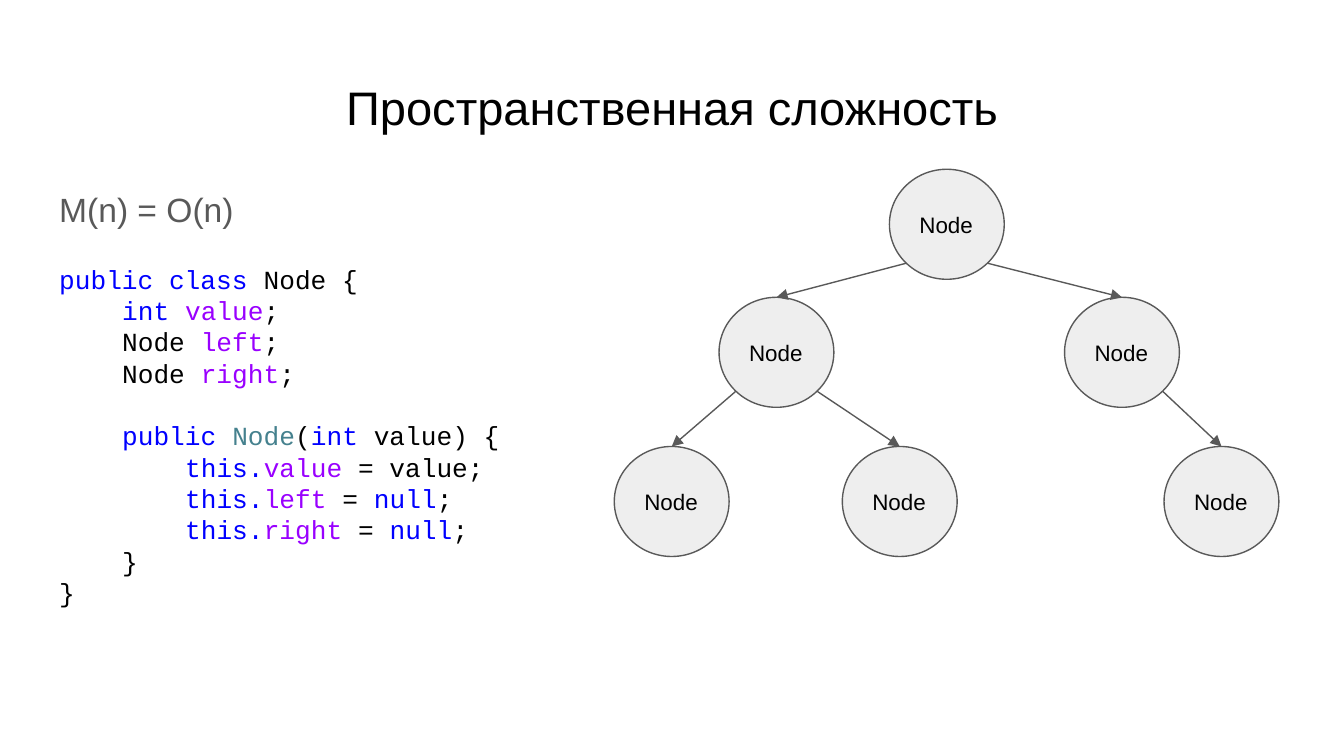
from lxml.etree import SubElement
from pptx import Presentation
from pptx.dml.color import RGBColor
from pptx.enum.shapes import MSO_CONNECTOR, MSO_SHAPE
from pptx.enum.text import MSO_ANCHOR, PP_ALIGN
from pptx.oxml.ns import qn
from pptx.util import Cm, Pt

BLACK = RGBColor(0x00, 0x00, 0x00)
GRAY = RGBColor(0x59, 0x59, 0x59)
NODE_FILL = RGBColor(0xEE, 0xEE, 0xEE)
KEYWORD = RGBColor(0x00, 0x00, 0xFF)
FIELD = RGBColor(0x99, 0x00, 0xFF)
CONSTRUCTOR = RGBColor(0x45, 0x81, 0x8E)

INSET = Cm(0.25)
CODE_INDENT = Cm(1.19)
CODE_LINE = Pt(16.8)
NODE_WIDTH, NODE_HEIGHT = Cm(2.17), Cm(2.08)
DIAGONAL = 0.5 ** 0.5

CODE = [
    (0, [("public class", KEYWORD), (" Node {", BLACK)]),
    (1, [("int ", KEYWORD), ("value", FIELD), (";", BLACK)]),
    (1, [("Node ", BLACK), ("left", FIELD), (";", BLACK)]),
    (1, [("Node ", BLACK), ("right", FIELD), (";", BLACK)]),
    (1, [("public ", KEYWORD), ("Node", CONSTRUCTOR), ("(", BLACK),
         ("int", KEYWORD), (" value) {", BLACK)]),
    (2, [("this.", KEYWORD), ("value", FIELD), (" = value;", BLACK)]),
    (2, [("this.", KEYWORD), ("left", FIELD), (" = ", BLACK),
         ("null", KEYWORD), (";", BLACK)]),
    (2, [("this.", KEYWORD), ("right", FIELD), (" = ", BLACK),
         ("null", KEYWORD), (";", BLACK)]),
    (1, [("}", BLACK)]),
    (0, [("}", BLACK)]),
]
CONSTRUCTOR_LINE = 4

# name: (left, top) inside the tree area
NODES = {
    "root": (Cm(5.2), Cm(0)),
    "left": (Cm(1.98), Cm(2.42)),
    "right": (Cm(8.51), Cm(2.42)),
    "left.left": (Cm(0), Cm(5.24)),
    "left.right": (Cm(4.31), Cm(5.24)),
    "right.right": (Cm(10.39), Cm(5.24)),
}
EDGES = [
    ("root", "left", -1),
    ("root", "right", 1),
    ("left", "left.left", -1),
    ("left", "left.right", 1),
    ("right", "right.right", 1),
]


def set_insets(frame):
    frame.word_wrap = True
    frame.margin_left = frame.margin_right = INSET
    frame.margin_top = frame.margin_bottom = INSET


def style(paragraph, size, color, name="Arial"):
    paragraph.font.size = Pt(size)
    paragraph.font.name = name
    paragraph.font.color.rgb = color


def add_text_frame(slide, left, top, width, height):
    frame = slide.shapes.add_textbox(left, top, width, height).text_frame
    set_insets(frame)
    return frame


def add_title(slide, left, top, width, height):
    title = add_text_frame(slide, left, top, width, height).paragraphs[0]
    title.text = "Пространственная сложность"
    title.alignment = PP_ALIGN.CENTER
    style(title, 25.2, BLACK)


def add_complexity(slide, left, top, width, height):
    complexity = add_text_frame(slide, left, top, width, height).paragraphs[0]
    complexity.text = "M(n) = O(n)"
    complexity.line_spacing = 1.15
    style(complexity, 18, GRAY)


def add_code(slide, left, top, width, height):
    frame = add_text_frame(slide, left, top, width, height)
    for number, (level, tokens) in enumerate(CODE):
        line = frame.add_paragraph() if number else frame.paragraphs[0]
        line.line_spacing = CODE_LINE
        if number == CONSTRUCTOR_LINE:
            line.space_before = CODE_LINE
        line.font.size = Pt(14)
        line.font.name = "Courier New"
        properties = line._p.get_or_add_pPr()
        properties.set("marL", str(level * CODE_INDENT))
        properties.set("indent", "0")
        for text, color in tokens:
            token = line.add_run()
            token.text = text
            token.font.color.rgb = color


def add_node(slide, left, top):
    node = slide.shapes.add_shape(MSO_SHAPE.OVAL, left, top, NODE_WIDTH, NODE_HEIGHT)
    node.shadow.inherit = False
    node.fill.solid()
    node.fill.fore_color.rgb = NODE_FILL
    node.line.color.rgb = GRAY
    node.line.width = Pt(0.75)
    set_insets(node.text_frame)
    node.text_frame.vertical_anchor = MSO_ANCHOR.MIDDLE
    label = node.text_frame.paragraphs[0]
    label.text = "Node"
    label.alignment = PP_ALIGN.LEFT
    style(label, 12, BLACK)
    return node


def add_edge(slide, parent, child, side):
    start_x = parent.left + int(NODE_WIDTH * (1 + side * DIAGONAL) / 2)
    start_y = parent.top + int(NODE_HEIGHT * (1 + DIAGONAL) / 2)
    edge = slide.shapes.add_connector(
        MSO_CONNECTOR.STRAIGHT, start_x, start_y,
        child.left + NODE_WIDTH // 2, child.top)
    edge.end_connect(child, 0)
    edge.line.color.rgb = GRAY
    edge.line.width = Pt(0.75)
    SubElement(edge.line._get_or_add_ln(), qn("a:tailEnd"), type="triangle")
    SubElement(edge._element.spPr, qn("a:effectLst"))


def add_tree(slide, left, top):
    nodes = {name: add_node(slide, left + x, top + y)
             for name, (x, y) in NODES.items()}
    for parent, child, side in EDGES:
        add_edge(slide, nodes[parent], nodes[child], side)


def main():
    presentation = Presentation()
    presentation.slide_width = Cm(25.4)
    presentation.slide_height = Cm(14.29)
    slide = presentation.slides.add_slide(presentation.slide_layouts[6])
    add_title(slide, Cm(0.87), Cm(1.24), Cm(23.67), Cm(1.6))
    add_complexity(slide, Cm(0.87), Cm(3.2), Cm(23.67), Cm(9.5))
    add_code(slide, Cm(0.87), Cm(4.72), Cm(11.56), Cm(8.31))
    add_tree(slide, Cm(11.61), Cm(3.2))
    presentation.save("out.pptx")


if __name__ == "__main__":
    main()
